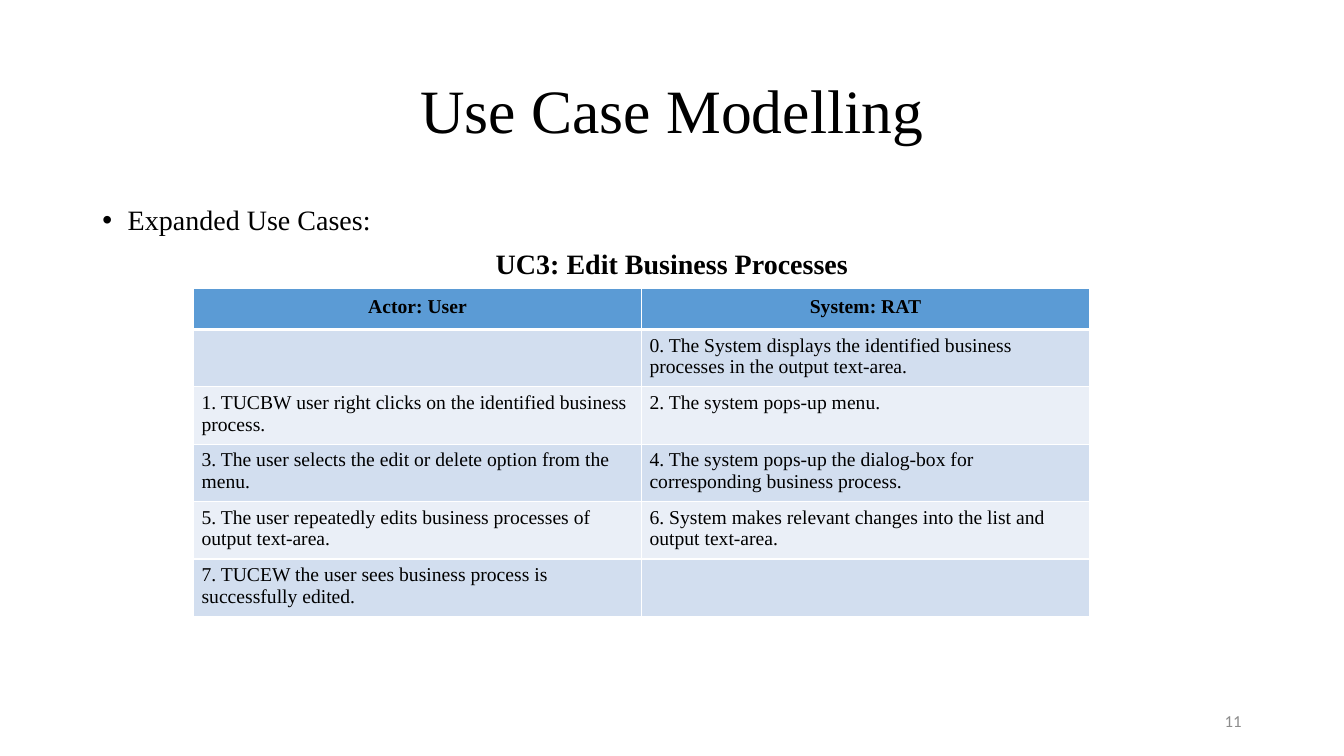
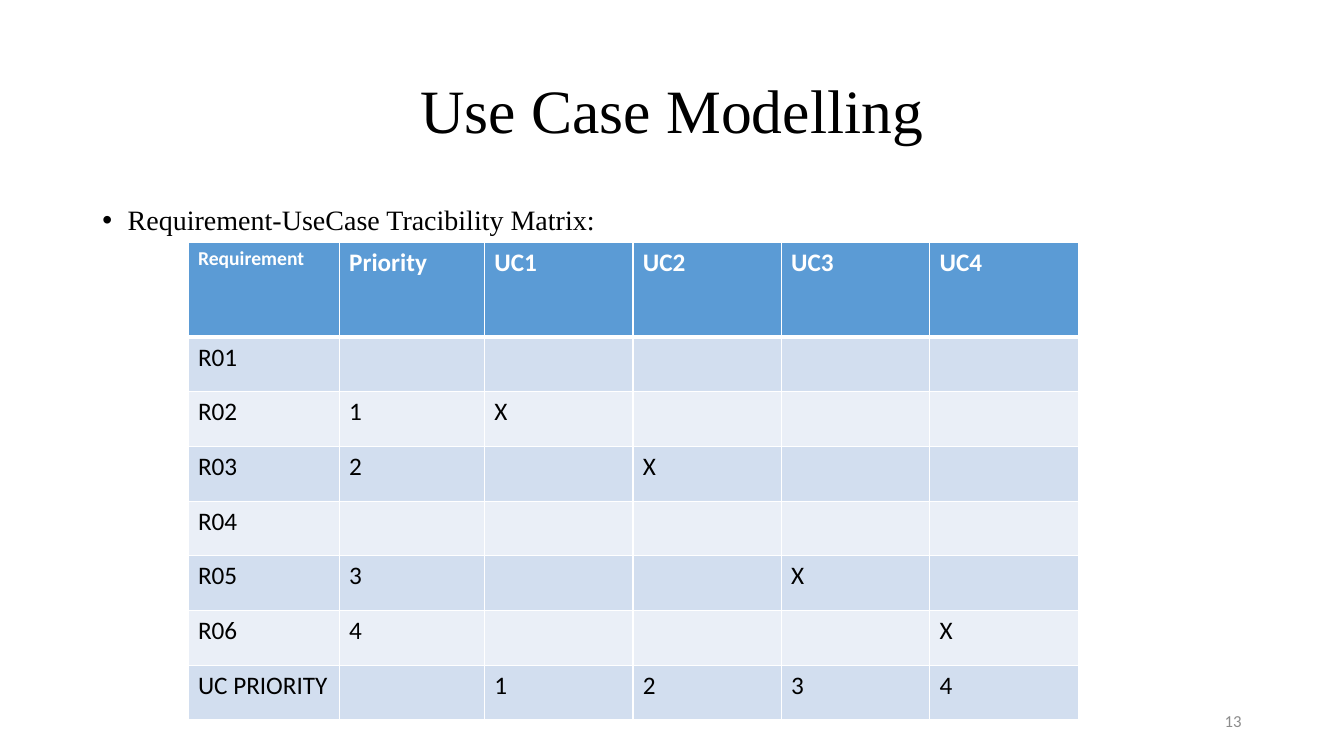
from lxml.etree import SubElement
from pptx import Presentation
from pptx.dml.color import RGBColor
from pptx.enum.text import MSO_ANCHOR, PP_ALIGN
from pptx.oxml.ns import qn
from pptx.util import Cm, Pt

BLACK = RGBColor(0x00, 0x00, 0x00)
WHITE = RGBColor(0xFF, 0xFF, 0xFF)
GREY = RGBColor(0x8C, 0x8C, 0x8C)
BLUE = RGBColor(0x5B, 0x9B, 0xD5)
BANDS = (RGBColor(0xD2, 0xDE, 0xEF), RGBColor(0xEA, 0xEF, 0xF7))
SERIF, SANS = "Times New Roman", "Calibri"


class Deck:
    """Holds the shared style and the current slide."""

    def __init__(self):
        self.show = Presentation()
        self.show.slide_width, self.show.slide_height = Cm(33.87), Cm(19.05)
        self.slide = None

    def page(self, title, number):
        self.slide = self.show.slides.add_slide(self.show.slide_layouts[6])
        # Title
        frame = self.box(2.33, 1.01, 29.21, 3.68, MSO_ANCHOR.MIDDLE)
        para = frame.paragraphs[0]
        para.alignment, para.line_spacing = PP_ALIGN.CENTER, 0.9
        self.run(para, title, 44)
        # Page number
        frame = self.box(23.92, 17.66, 7.62, 1.01, MSO_ANCHOR.MIDDLE)
        para = frame.paragraphs[0]
        para.alignment = PP_ALIGN.RIGHT
        self.run(para, number, 12, SANS, GREY)

    def box(self, left, top, width, height, anchor=MSO_ANCHOR.TOP):
        shape = self.slide.shapes.add_textbox(
            Cm(left), Cm(top), Cm(width), Cm(height))
        frame = shape.text_frame
        frame.word_wrap, frame.vertical_anchor = True, anchor
        return frame

    def run(self, para, text, size, face=SERIF, color=BLACK, bold=False):
        run = para.add_run()
        run.text = text
        font = run.font
        font.size, font.name, font.bold = Pt(size), face, bold
        font.color.rgb = color

    def body(self, point, label=None):
        frame = self.box(2.33, 5.07, 29.21, 12.09)
        para = frame.paragraphs[0]
        self.run(para, point, 20)
        self.bullet(para)
        if label:
            para = frame.add_paragraph()
            para.alignment = PP_ALIGN.CENTER
            self.run(para, label, 20, bold=True)
        for para in frame.paragraphs:
            para.line_spacing, para.space_before = 0.9, Pt(10)

    def bullet(self, para):
        props = para._p.get_or_add_pPr()
        props.set("marL", str(Cm(0.64)))
        props.set("indent", str(-Cm(0.64)))
        SubElement(props, qn("a:buFont"), typeface="Arial")
        SubElement(props, qn("a:buChar"), char="•")

    def table(self, left, top, widths, heights, rows, face, size, ink,
              align=PP_ALIGN.LEFT, pad=(0.25, 0.13), headpad=(0.25, 0.13)):
        table = self.slide.shapes.add_table(
            len(rows), len(widths), Cm(left), Cm(top),
            Cm(sum(widths)), Cm(sum(heights))).table
        table.first_row = table.horz_banding = False
        for col, width in zip(table.columns, widths):
            col.width = Cm(width)
        for i, (texts, height) in enumerate(zip(rows, heights)):
            table.rows[i].height = Cm(height)
            head = i == 0
            for j, text in enumerate(texts):
                cell = table.cell(i, j)
                # The rule under the header is thicker than the grid
                self.edges(cell, 3 if i == 1 else 1, 3 if head else 1)
                cell.fill.solid()
                cell.fill.fore_color.rgb = BLUE if head else BANDS[(i - 1) % 2]
                if text:
                    side, end = headpad if head else pad
                    cell.margin_left = cell.margin_right = Cm(side)
                    cell.margin_top = cell.margin_bottom = Cm(end)
                    para = cell.text_frame.paragraphs[0]
                    para.alignment = align if head else PP_ALIGN.LEFT
                    self.run(para, text, size, face, ink if head else BLACK,
                             head)
        return table

    def edges(self, cell, above, below):
        props = cell._tc.get_or_add_tcPr()
        for side, width in zip("LRTB", (1, 1, above, below)):
            line = SubElement(props, qn("a:ln" + side), w=str(Pt(width)))
            fill = SubElement(line, qn("a:solidFill"))
            SubElement(fill, qn("a:srgbClr"), val=str(WHITE))


def cases(deck):
    deck.page("Use Case Modelling", "11")
    deck.body("Expanded Use Cases:", "UC3: Edit Business Processes")
    steps = [
        ("Actor: User", "System: RAT"),
        ("", "0. The System displays the identified business processes "
             "in the output text-area."),
        ("1. TUCBW user right clicks on the identified business process.",
         "2. The system pops-up menu."),
        ("3. The user selects the edit or delete option from the menu.",
         "4. The system pops-up the dialog-box for corresponding business "
         "process."),
        ("5. The user repeatedly edits business processes of output "
         "text-area.",
         "6. System makes relevant changes into the list and output "
         "text-area."),
        ("7. TUCEW the user sees business process is successfully edited.",
         ""),
    ]
    deck.table(4.88, 7.27, [11.29] * 2, [1.03] * 6, steps, SERIF, 14, BLACK,
               PP_ALIGN.CENTER, pad=(0.2, 0.13), headpad=(0.18, 0.18))


def matrix(deck):
    deck.page("Use Case Modelling", "13")
    deck.body("Requirement-UseCase Tracibility Matrix:")
    # Requirement number to the use case that meets it
    links = {2: 1, 3: 2, 5: 3, 6: 4}
    span = range(1, 5)
    rows = [["Requirement", "Priority"] + [f"UC{n}" for n in span]]
    for req in range(1, 7):
        use = links.get(req)
        marks = ["X" if n == use else "" for n in span]
        rows.append([f"R0{req}", str(use or "")] + marks)
    rows.append(["UC PRIORITY", ""] + [str(n) for n in span])
    table = deck.table(4.74, 6.1, [3.81, 3.66] + [3.74] * 4,
                       [2.39] + [1.38] * 7, rows, SANS, 18, WHITE)
    first = table.cell(0, 0).text_frame.paragraphs[0]
    first.runs[0].font.size = Pt(14)


def main():
    deck = Deck()
    cases(deck)
    matrix(deck)
    deck.show.save("out.pptx")


if __name__ == "__main__":
    main()
